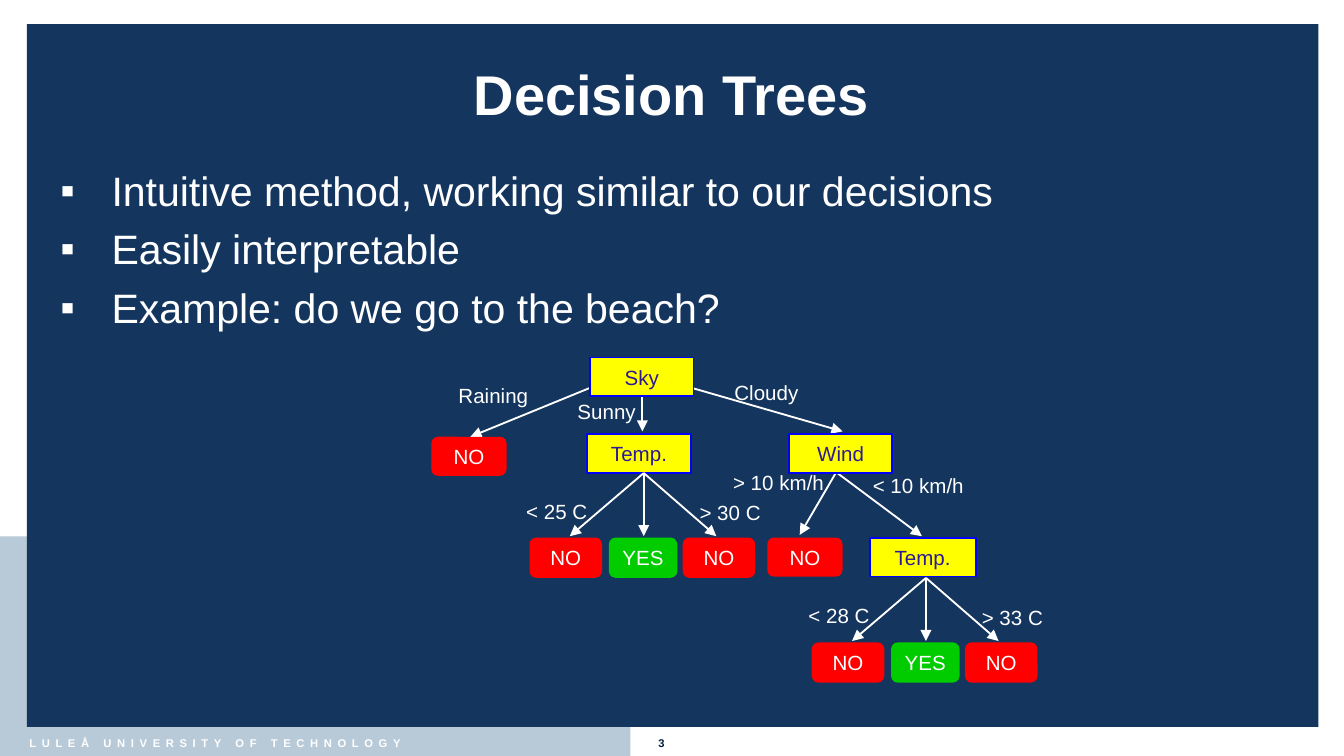
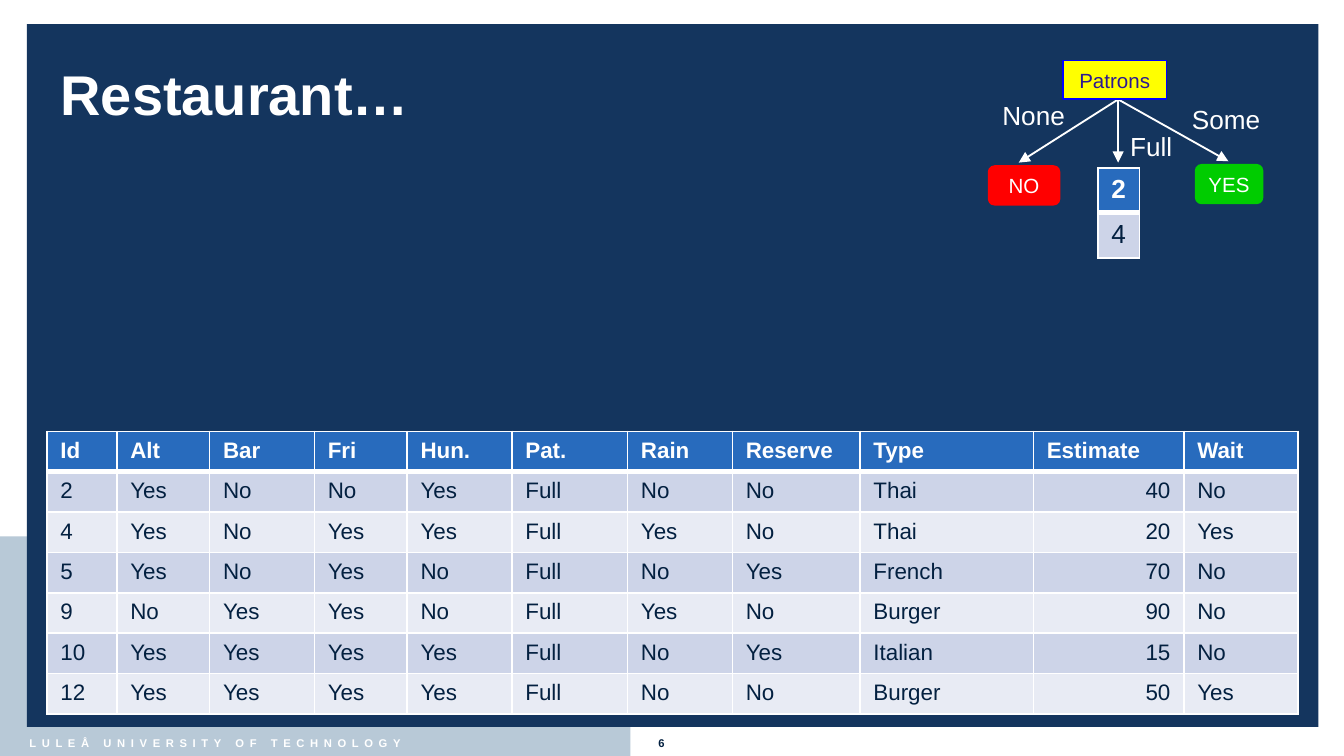
"""Builds two slides on decision trees with a shared university look."""
from lxml import etree
from pptx import Presentation, util as u
from pptx.dml.color import RGBColor
from pptx.enum import shapes, text
from pptx.oxml.ns import qn

WHITE = RGBColor(0xFF, 0xFF, 0xFF)
NAVY = RGBColor(0x14, 0x35, 0x5E)
MIST = RGBColor(0xB8, 0xC9, 0xD7)
INK = RGBColor(0x03, 0x20, 0x40)
YELLOW = RGBColor(0xFF, 0xFF, 0x00)
BLUE = RGBColor(0x00, 0x00, 0xFF)
PURPLE = RGBColor(0x2D, 0x19, 0x93)
RED = RGBColor(0xFF, 0x00, 0x00)
GREEN = RGBColor(0x00, 0xCC, 0x00)
HEAD = RGBColor(0x28, 0x6B, 0xBD)
BANDS = [RGBColor(0xE8, 0xEB, 0xF4), RGBColor(0xCD, 0xD4, 0xE8)]
LEAF = {"NO": RED, "YES": GREEN}
FONT = "Arial"
LEFT, MID, RIGHT = text.PP_ALIGN.LEFT, text.PP_ALIGN.CENTER, text.PP_ALIGN.RIGHT
RECT, ROUND = shapes.MSO_SHAPE.RECTANGLE, shapes.MSO_SHAPE.ROUNDED_RECTANGLE

deck = Presentation()
deck.slide_width = u.Inches(10)
deck.slide_height = deck.slide_width * 9 // 16
CELL = deck.slide_width // 100


def box(page, x, y, w, h, words="", fill=None, ink=WHITE, size=11, side=MID):
    """Adds a text label, or a filled node, placed in grid cells."""
    place = [round(n * CELL) for n in (x, y, w, h)]
    if fill is None:
        item = page.shapes.add_textbox(*place)
    else:
        item = page.shapes.add_shape(ROUND if words in LEAF else RECT, *place)
        item.shadow.inherit = False
        item.fill.solid()
        item.fill.fore_color.rgb = fill
        item.line.fill.background()
        if fill == YELLOW:
            item.line.color.rgb = BLUE
            item.line.width = u.Pt(1)
    if words:
        item.text_frame.word_wrap = False
        para = item.text_frame.paragraphs[0]
        para.text, para.alignment = words, side
        para.font.name, para.font.size = FONT, u.Pt(size)
        para.font.color.rgb = ink
    return item


def arrow(page, *ends):
    """Adds a white arrow between two grid points."""
    line = page.shapes.add_connector(
        shapes.MSO_CONNECTOR.STRAIGHT, *[round(n * CELL) for n in ends])
    line.line.color.rgb = WHITE
    line.line.width = u.Pt(1)
    props = line.element.spPr
    etree.SubElement(props.find(qn("a:ln")), qn("a:tailEnd"), type="triangle")
    etree.SubElement(props, qn("a:effectLst"))


tree = deck.slides.add_slide(deck.slide_layouts[1])
diner = deck.slides.add_slide(deck.slide_layouts[5])

brand = box(tree, 1.2, 54.3, 29.8, 2, "LULEÅ UNIVERSITY OF TECHNOLOGY", size=6, side=LEFT)
brand.text_frame.paragraphs[0].font.bold = True
brand.text_frame.paragraphs[0].runs[0]._r.get_or_add_rPr().set("spc", "300")
shared = [box(tree, 0, 39.9, 46.9, 16.35, fill=MIST),
          box(tree, 2, 1.8, 96.1, 52.3, fill=NAVY), brand]
for i, item in enumerate(shared):
    item.element[0][0].set("id", str(20 + i))
    deck.slide_master.shapes.element.insert(2 + i, item.element)

for page, name, side, num in ((tree, "Decision Trees", MID, "3"),
                              (diner, "Restaurant…", LEFT, "6")):
    title = page.shapes.title
    title.left, title.top = round(3.5 * CELL), 2 * CELL
    title.width, title.height = round(92.9 * CELL), round(9.9 * CELL)
    title.text_frame.text = name
    title.text_frame.vertical_anchor = text.MSO_ANCHOR.MIDDLE
    title.text_frame.auto_size = text.MSO_AUTO_SIZE.NONE
    para = title.text_frame.paragraphs[0]
    para.alignment = side
    para.font.name, para.font.size, para.font.bold = FONT, u.Pt(30), True
    para.font.color.rgb = WHITE
    foot = box(page, 48, 54.3, 2.5, 2, num, ink=INK, size=6, side=LEFT)
    foot.text_frame.paragraphs[0].font.bold = True

body = tree.placeholders[1]
body.left, body.top = round(3.5 * CELL), round(11.8 * CELL)
body.width, body.height = round(92.8 * CELL), round(12.9 * CELL)
frame = body.text_frame
frame.text = "\n".join(["Intuitive method, working similar to our decisions",
                        "Easily interpretable",
                        "Example: do we go to the beach?"])
frame.auto_size = text.MSO_AUTO_SIZE.NONE
for i, para in enumerate(frame.paragraphs):
    props = para._p.get_or_add_pPr()
    props.set("marL", str(u.Inches(0.38)))
    props.set("indent", str(-u.Inches(0.38)))
    para.space_before = u.Pt(5 if i else 0)
    etree.SubElement(props, qn("a:buFont"), typeface=FONT)
    etree.SubElement(props, qn("a:buChar"), char="▪")
    para.font.name, para.font.size = FONT, u.Pt(22)
    para.font.color.rgb = WHITE

for ends in ((50.9, 28.7, 62.7, 32.1), (44.3, 28.7, 35, 32.5),
             (47.8, 29.4, 47.8, 32.1), (62.3, 35, 59.5, 39.8),
             (62.3, 35.2, 68.6, 39.9)):
    arrow(tree, *ends)
for x, y, w, words in ((43.9, 26.6, 7.7, "Sky"), (43.7, 32.3, 7.7, "Temp."),
                       (58.7, 32.3, 7.7, "Wind"), (64.7, 40, 7.9, "Temp.")):
    box(tree, x, y, w, 2.9, words, YELLOW, PURPLE)
for x, y in ((32.1, 32.5), (57.1, 40)):
    box(tree, x, y, 5.6, 2.9, "NO", RED)
for x, y, w, words in ((33, 28, 7.3, "Raining"), (41.9, 29.2, 6.4, "Sunny"),
                       (53.6, 27.8, 6.8, "Cloudy"), (53.5, 34.5, 8.8, "> 10 km/h"),
                       (63.9, 34.7, 8.8, "< 10 km/h")):
    box(tree, x, y, w, 2.9, words, side=RIGHT)

for x, y, low, high in ((39.4, 40, "< 25 C", "> 30 C"), (60.4, 47.8, "< 28 C", "> 33 C")):
    for tip in (3, 8.5, 13.9):
        arrow(tree, x + 8.5, y - 4.8, x + tip, y - 0.1)
    for dx, w, words in ((0, 5.4, "NO"), (5.9, 5.1, "YES"), (11.4, 5.4, "NO")):
        box(tree, x + dx, y, w, 3, words, LEAF[words])
    box(tree, x - 1.3, y - 3.4, 6.6, 2.9, low, side=RIGHT)
    box(tree, x + 11.6, y - 3.3, 6.6, 2.9, high, side=RIGHT)

for x, y in ((83.2, 12.1), (75.8, 12.1), (91.4, 12)):
    arrow(diner, 83.2, 7.4, x, y)
box(diner, 79.1, 4.5, 7.7, 2.9, "Patrons", YELLOW, PURPLE)
box(diner, 73.5, 12.3, 5.4, 3, "NO", RED)
box(diner, 88.9, 12.2, 5.1, 3, "YES", GREEN)
for x, y, w, words in ((73.6, 6.9, 6.7, "None"), (83.1, 9.2, 5.2, "Full"),
                       (87.7, 7.2, 7.1, "Some")):
    box(diner, x, y, w, 3.4, words, size=14, side=LEFT)

guests = """Id Alt Bar Fri Hun. Pat. Rain Reserve Type Estimate Wait
2 Yes No No Yes Full No No Thai 40 No
4 Yes No Yes Yes Full Yes No Thai 20 Yes
5 Yes No Yes No Full No Yes French 70 No
9 No Yes Yes No Full Yes No Burger 90 No
10 Yes Yes Yes Yes Full No Yes Italian 15 No
12 Yes Yes Yes Yes Full No No Burger 50 Yes"""
wide = [5.2, 6.9, 7.8, 6.9, 7.8, 8.6, 7.8, 9.5, 12.9, 11.2, 8.5]
for x, y, cols, high, last, size, data in (
        (3.5, 32.1, wide, 2.86, 3, 12, guests),
        (81.7, 12.5, [3.1], 3.35, 3.35, 14, "2\n4")):
    rows = [line.split() for line in data.splitlines()]
    grid = diner.shapes.add_table(
        len(rows), len(cols), round(x * CELL), round(y * CELL),
        round(sum(cols) * CELL), round((high * (len(rows) - 1) + last) * CELL)).table
    for col, w in zip(grid.columns, cols):
        col.width = round(w * CELL)
    for r, row in enumerate(rows):
        grid.rows[r].height = round((last if r == len(rows) - 1 else high) * CELL)
        for c, words in enumerate(row):
            cell = grid.cell(r, c)
            props = cell._tc.get_or_add_tcPr()
            for edge in "LRTB":
                thick = (edge, r) in (("B", 0), ("T", 1))
                rule = etree.SubElement(props, qn("a:ln" + edge), w=str(u.Pt(3 if thick else 1)))
                paint = etree.SubElement(rule, qn("a:solidFill"))
                etree.SubElement(paint, qn("a:srgbClr"), val=str(WHITE))
            cell.fill.solid()
            cell.fill.fore_color.rgb = BANDS[r % 2] if r else HEAD
            para = cell.text_frame.paragraphs[0]
            para.text = words
            para.alignment = RIGHT if r and c == 9 else LEFT
            para.font.name, para.font.size, para.font.bold = FONT, u.Pt(size), r == 0
            para.font.color.rgb = INK if r else WHITE

deck.save("out.pptx")
